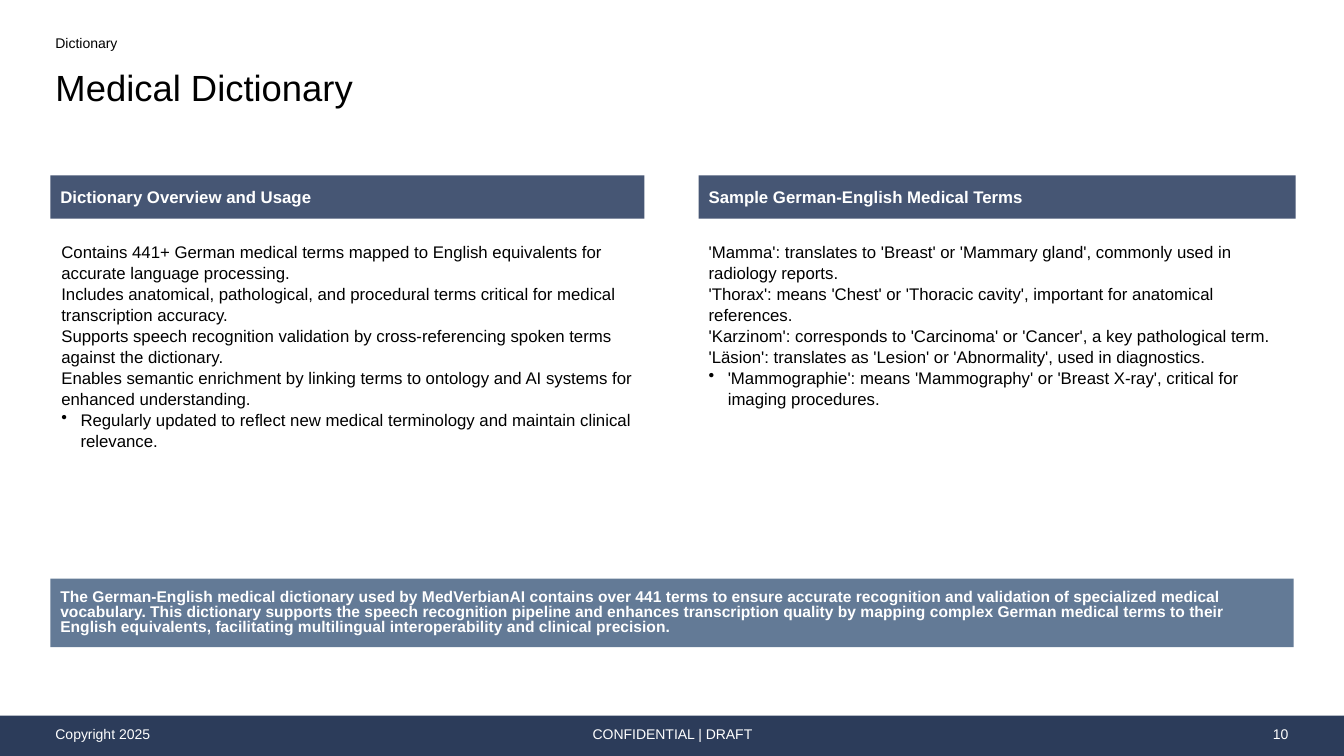
from pptx import Presentation
from pptx.dml.color import RGBColor
from pptx.enum.shapes import MSO_SHAPE
from pptx.enum.text import MSO_ANCHOR, MSO_AUTO_SIZE, PP_ALIGN
from pptx.oxml.ns import qn
from pptx.util import Inches, Pt
from lxml import etree

RECTANGLE = MSO_SHAPE.RECTANGLE
TOP, MIDDLE = MSO_ANCHOR.TOP, MSO_ANCHOR.MIDDLE
LEFT, CENTER, RIGHT = PP_ALIGN.LEFT, PP_ALIGN.CENTER, PP_ALIGN.RIGHT
NO_AUTOFIT = MSO_AUTO_SIZE.NONE
COLORS = {"text": "000000", "white": "FFFFFF", "footer": "2C3C5A",
          "heading": "465674", "summary": "637A96"}


def write(shape, lines, size, color, bold=False, align=LEFT, anchor=MIDDLE,
          margins=(0.05, 0.05, 0.05, 0.05), spacing=None, bullet_last=False):
    """Fill a shape with one paragraph per line; margins are left, top, right, bottom."""
    frame = shape.text_frame
    frame.word_wrap = True
    frame.auto_size = NO_AUTOFIT
    frame.vertical_anchor = anchor
    (frame.margin_left, frame.margin_top,
     frame.margin_right, frame.margin_bottom) = [Inches(m) for m in margins]
    frame.text = "\n".join(lines)
    for paragraph in frame.paragraphs:
        paragraph.alignment = align
        paragraph.line_spacing = spacing
        font = paragraph.font
        font.name, font.size, font.bold = "Arial", Pt(size), bold
        font.color.rgb = RGBColor.from_string(COLORS[color])
    if bullet_last:
        properties = frame.paragraphs[-1]._p.get_or_add_pPr()
        properties.set("marL", str(Inches(0.19)))
        properties.set("indent", str(-Inches(0.19)))
        bullet = etree.Element(qn("a:buChar"), char="•")
        properties.find(qn("a:defRPr")).addprevious(bullet)


def add_bar(left, top, width, height, color):
    bar = slide.shapes.add_shape(RECTANGLE, Inches(left), Inches(top),
                                 Inches(width), Inches(height))
    bar.shadow.inherit = False
    bar.fill.solid()
    bar.fill.fore_color.rgb = RGBColor.from_string(COLORS[color])
    bar.line.fill.background()
    return bar


prs = Presentation()
prs.slide_width, prs.slide_height = Inches(13.33), Inches(7.5)
slide = prs.slides.add_slide(prs.slide_layouts[5])

# Title and section label
title = slide.shapes.title
title.left, title.top = Inches(0.5), Inches(0.6)
title.width, title.height = Inches(12.33), Inches(0.54)
write(title, ["Medical Dictionary"], 26, "text",
      margins=(0.05, 0.05, 0.05, 0), spacing=0.9)
section = slide.shapes.add_textbox(Inches(0.5), Inches(0.31), Inches(12.33), Inches(0.29))
write(section, ["Dictionary"], 10, "text", anchor=TOP, spacing=0.9)

# Two columns, each a heading bar over its points
columns = [
    (0.5, 0.51, 5.89, "Dictionary Overview and Usage", [
        "Contains 441+ German medical terms mapped to English equivalents for accurate language processing.",
        "Includes anatomical, pathological, and procedural terms critical for medical transcription accuracy.",
        "Supports speech recognition validation by cross-referencing spoken terms against the dictionary.",
        "Enables semantic enrichment by linking terms to ontology and AI systems for enhanced understanding.",
        "Regularly updated to reflect new medical terminology and maintain clinical relevance.",
    ]),
    (6.93, 6.93, 5.92, "Sample German-English Medical Terms", [
        "'Mamma': translates to 'Breast' or 'Mammary gland', commonly used in radiology reports.",
        "'Thorax': means 'Chest' or 'Thoracic cavity', important for anatomical references.",
        "'Karzinom': corresponds to 'Carcinoma' or 'Cancer', a key pathological term.",
        "'Läsion': translates as 'Lesion' or 'Abnormality', used in diagnostics.",
        "'Mammographie': means 'Mammography' or 'Breast X-ray', critical for imaging procedures.",
    ]),
]
for bar_left, points_left, width, heading, points in columns:
    write(add_bar(bar_left, 1.74, width, 0.43, "heading"), [heading], 12, "white",
          bold=True, margins=(0.1, 0.05, 0.1, 0.05))
    points_box = slide.shapes.add_textbox(Inches(points_left), Inches(2.34),
                                          Inches(width), Inches(3.21))
    write(points_box, points, 12, "text", anchor=TOP, margins=(0.1, 0.05, 0.1, 0.05),
          spacing=1.04, bullet_last=True)

# Summary
summary = (
    "The German-English medical dictionary used by MedVerbianAI contains over 441 terms "
    "to ensure accurate recognition and validation of specialized medical vocabulary. "
    "This dictionary supports the speech recognition pipeline and enhances transcription "
    "quality by mapping complex German medical terms to their English equivalents, "
    "facilitating multilingual interoperability and clinical precision."
)
write(add_bar(0.5, 5.74, 12.33, 0.68, "summary"), [summary], 11.1, "white",
      bold=True, margins=(0.1, 0.1, 0.1, 0.1), spacing=0.8)

# Footer
add_bar(0, 7.1, 13.33, 0.4, "footer")
for left, width, align, note in [
    (0.5, 3.97, LEFT, "Copyright 2025"),
    (4.42, 4.5, CENTER, "CONFIDENTIAL | DRAFT"),
    (9.83, 3, RIGHT, "10"),
]:
    note_box = slide.shapes.add_textbox(Inches(left), Inches(7.14), Inches(width), Inches(0.28))
    write(note_box, [note], 10, "white", align=align)

prs.save("out.pptx")
